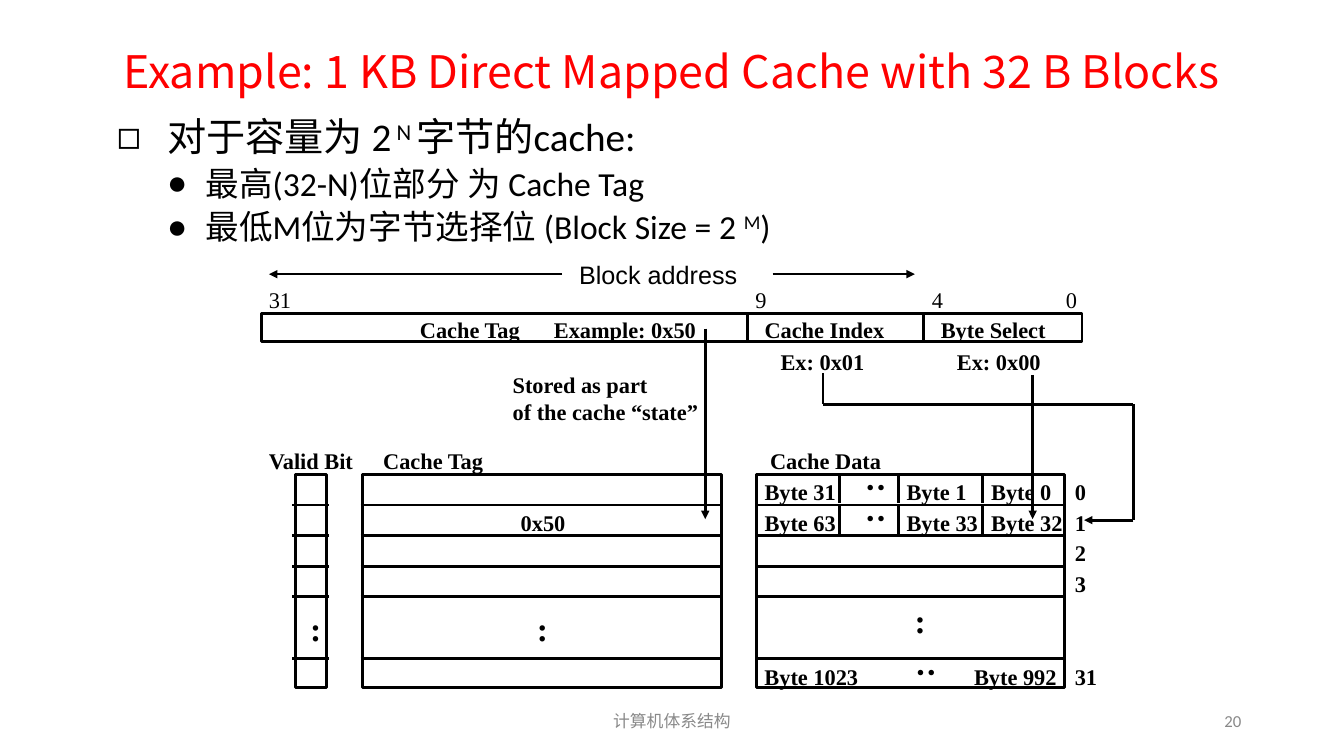
"""Build the slide on a direct mapped cache."""
from itertools import pairwise

from pptx import Presentation
from pptx import util as u
from pptx.dml.color import RGBColor
from pptx.enum import shapes, text
from pptx.oxml import ns
from lxml import etree

SCALE = 9144
BLACK, RED, GRAY = "000000", "FF0000", "898989"
SERIF = "Times New Roman"
TOP, BASE = 471, 682
ROWS = [501, 531, 562, 592, 653]
LEFT, CENTER, RIGHT = text.PP_ALIGN.LEFT, text.PP_ALIGN.CENTER, text.PP_ALIGN.RIGHT


def px(n):
    """Turn px into EMU."""
    return u.Emu(n * SCALE)


def color(code):
    """Turn a hex string into a colour."""
    return RGBColor.from_string(code)


def node(parent, tag, **attrs):
    """Append a drawing element."""
    return etree.SubElement(parent, ns.qn(tag), attrs)


def style(para, size, name, code=BLACK, bold=False):
    """Set the font of a paragraph."""
    font = para.font
    font.size, font.name, font.bold = u.Pt(size), name, bold
    font.color.rgb = color(code)


def place(shape, x, y, w, h):
    """Move and size a shape."""
    shape.left, shape.top, shape.width, shape.height = map(px, (x, y, w, h))


def label(slide, words, x, y, w, h=36, size=16, name=SERIF, code=BLACK,
          bold=True, align=LEFT, turn=0):
    """Add a text box."""
    box = slide.shapes.add_textbox(*map(px, (x, y, w, h)))
    box.rotation = turn
    frame = box.text_frame
    frame.word_wrap = False
    frame.text = words
    for para in frame.paragraphs:
        para.alignment = align
        style(para, size, name, code, bold)
    return box


def dots(slide, x, y, turn=0):
    """Add a colon that stands for left out items."""
    label(slide, ":", x, y, 31, 50, size=24, turn=turn)


def line(slide, start, end, width=2, arrow=False):
    """Add a line, with an arrowhead at its end if asked."""
    kind = shapes.MSO_CONNECTOR.STRAIGHT
    link = slide.shapes.add_connector(kind, *map(px, (*start, *end)))
    link.line.color.rgb = color(BLACK)
    link.line.width = u.Pt(width)
    if arrow:
        node(link.line._get_or_add_ln(), "a:tailEnd", type="triangle")
    node(link._element.spPr, "a:effectLst")


def frame(slide, x, y, w, h):
    """Add an empty outlined box."""
    box = slide.shapes.add_shape(shapes.MSO_SHAPE.RECTANGLE, *map(px, (x, y, w, h)))
    box.shadow.inherit = False
    box.fill.background()
    box.line.color.rgb = color(BLACK)
    box.line.width = u.Pt(2)


def column(slide, x, w, over):
    """Add a memory column whose row lines reach over its sides."""
    frame(slide, x, TOP, w, BASE - TOP)
    for y in ROWS:
        line(slide, (x - over, y), (x + w + over, y))


def item(para, parts, level, size, mark, left, hang):
    """Fill a bulleted paragraph; each second part is raised."""
    for i, part in enumerate(parts):
        run = para.add_run()
        run.text = part
        if i % 2:
            run.font._element.set("baseline", "30000")
    para.level = level
    para.line_spacing = 0.9
    para.space_before = u.Pt(5 if level else 10)
    props = para._p.get_or_add_pPr()
    props.set("marL", str(px(left)))
    props.set("indent", str(px(-hang)))
    node(node(props, "a:buClr"), "a:srgbClr", val=BLACK)
    node(props, "a:buChar", char=mark)
    style(para, size, "Calibri")


def heads(slide):
    """Fill the title and the list."""
    title, body = slide.placeholders
    place(title, 92, 40, 1150, 67)
    title.text_frame.text = "Example: 1 KB Direct Mapped Cache with 32 B Blocks"
    title.text_frame.vertical_anchor = text.MSO_ANCHOR.MIDDLE
    para = title.text_frame.paragraphs[0]
    para.alignment = CENTER
    para.line_spacing = 0.9
    style(para, 32, "Noto Sans CJK SC", RED)
    place(body, 106, 112, 1150, 148)
    area = body.text_frame
    for holder in (title.text_frame, area):
        holder.auto_size = text.MSO_AUTO_SIZE.NONE
    item(area.paragraphs[0], ["对于容量为 2", " N ", "字节的cache:"], 0, 28, "◻", 50, 50)
    for parts in (["最高(32-N)位部分 为 Cache Tag"],
                  ["最低M位为字节选择位 (Block Size = 2 ", "M", ")"]):
        item(area.add_paragraph(), parts, 1, 24, "●", 88, 38)


def address(slide):
    """Draw the address and its fields."""
    label(slide, "Block address", 565, 252, 177, 40, 18, "Arial", bold=False)
    line(slide, (767, 272), (908, 272), 1, True)
    line(slide, (558, 272), (267, 272), 1, True)
    for bit, x, w in (("31", 257, 42), ("9", 740, 31), ("4", 915, 31), ("0", 1048, 31)):
        label(slide, bit, x, 279, w, bold=False)
    frame(slide, 260, 311, 814, 28)
    for x in (742, 917):
        line(slide, (x, 311), (x, 339))
    for words, x, w in (("Cache Tag", 407, 121), ("Example: 0x50", 540, 161),
                        ("Cache Index", 749, 139), ("Byte Select", 924, 124)):
        label(slide, words, x, 309, w)
    for words, x in (("Ex: 0x01", 765), ("Ex: 0x00", 940)):
        label(slide, words, x, 340, 103)
    label(slide, "Stored as part\nof the cache “state”", 499, 363, 204, 63)


def memory(slide):
    """Draw the valid bits, tags and data."""
    for words, x, w in (("Valid Bit", 257, 105), (" Cache Tag", 365, 127),
                        (" Cache Data", 749, 136)):
        label(slide, words, x, 439, w)
    for x, w, over in ((293, 31, 3), (360, 356, 2), (751, 306, 0)):
        column(slide, x, w, over)
    for x, y in ((298, 598), (523, 598), (898, 590)):
        dots(slide, x, y)
    label(slide, "0x50", 507, 500, 64)
    for y, cells in ((469, ("Byte 31", "Byte 1", "Byte 0")),
                     (500, ("Byte 63", "Byte 33", "Byte 32"))):
        for words, x in zip(cells, (749, 890, 974)):
            label(slide, words, x, y, 91 if len(words) == 7 else 80)
        for x in (833, 892, 975):
            line(slide, (x, y + 2), (x, y + 30))
        dots(slide, 848, y - 10, 270)
    label(slide, "Byte 1023", 749, 653, 113)
    dots(slide, 898, 642, 270)
    label(slide, "Byte 992", 957, 653, 102)
    for row, y in (("0", 469), ("1", 500), ("2", 530), ("3", 561), ("31", 653)):
        label(slide, row, 1057, y, 42 if row == "31" else 31)


def routes(slide):
    """Draw the arrows from the address to the memory."""
    line(slide, (700, 326), (700, 515), arrow=True)
    line(slide, (1025, 372), (1025, 515), arrow=True)
    route = [(817, 370), (817, 401), (1125, 401), (1125, 516), (1076, 516)]
    for start, end in pairwise(route):
        line(slide, start, end, arrow=end == route[-1])


def footer(slide):
    """Add the course name and the page number."""
    for words, x, w, align in (("计算机体系结构", 442, 450, CENTER), ("20", 942, 300, RIGHT)):
        box = label(slide, words, x, 695, w, 40, 12, "Calibri", GRAY, False, align)
        box.text_frame.word_wrap = True
        box.text_frame.vertical_anchor = text.MSO_ANCHOR.MIDDLE


def main():
    """Build and save the slide."""
    deck = Presentation()
    deck.slide_width, deck.slide_height = px(1334), px(750)
    slide = deck.slides.add_slide(deck.slide_layouts[1])
    for part in (heads, address, memory, routes, footer):
        part(slide)
    deck.save("out.pptx")


if __name__ == "__main__":
    main()
